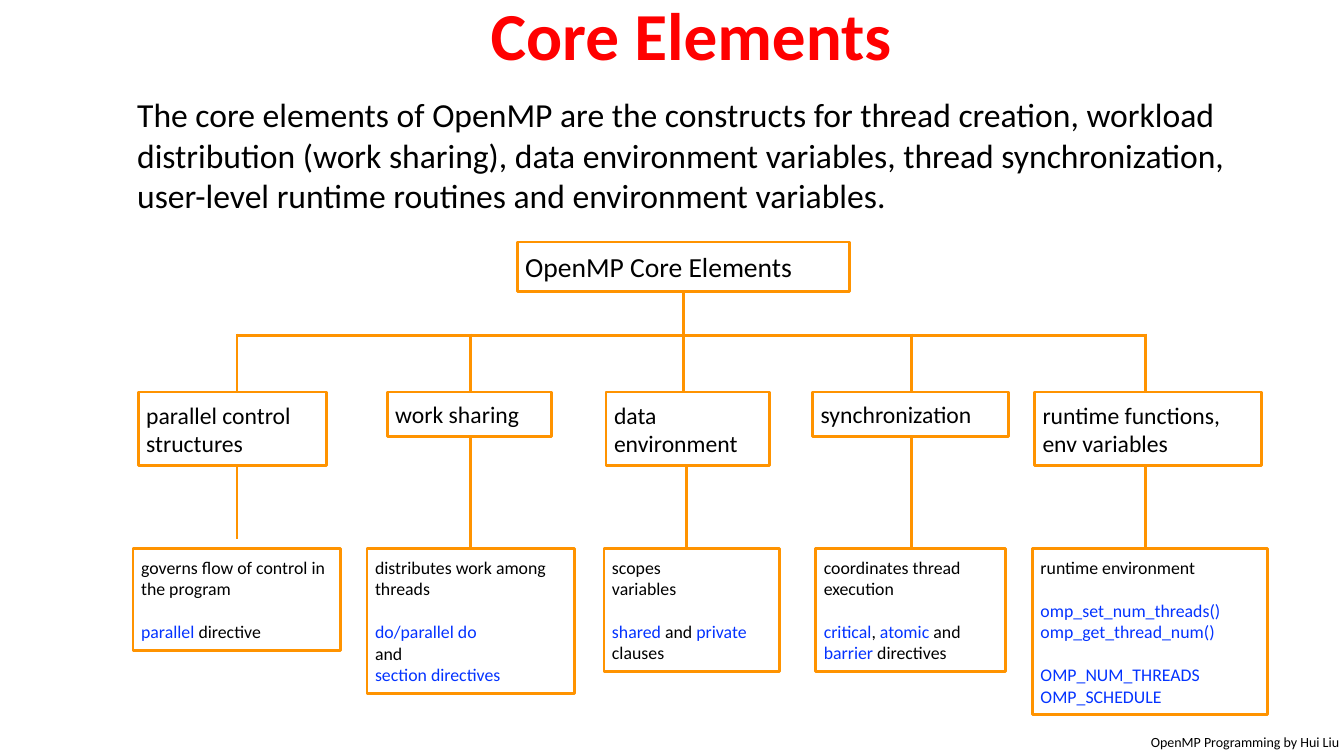
from lxml import etree
from pptx import Presentation
from pptx.dml.color import RGBColor
from pptx.enum.shapes import MSO_CONNECTOR, MSO_SHAPE
from pptx.enum.text import MSO_ANCHOR, PP_ALIGN
from pptx.oxml.ns import qn
from pptx.util import Inches, Pt

RECTANGLE, STRAIGHT = MSO_SHAPE.RECTANGLE, MSO_CONNECTOR.STRAIGHT
TOP, MIDDLE = MSO_ANCHOR.TOP, MSO_ANCHOR.MIDDLE
LEFT, CENTER, RIGHT = PP_ALIGN.LEFT, PP_ALIGN.CENTER, PP_ALIGN.RIGHT
RED, BLACK = RGBColor(0xFF, 0, 0), RGBColor(0, 0, 0)
ORANGE, BLUE = RGBColor(0xFF, 0x93, 0), RGBColor(0x04, 0x33, 0xFF)
FONT = "Calibri"
SLIDE_WIDTH, SLIDE_HEIGHT = 13.33, 7.5

TITLE = "Core Elements"
INTRO = ("The core elements of OpenMP are the constructs for thread creation, "
         "workload distribution (work sharing), data environment variables, thread "
         "synchronization, user-level runtime routines and environment variables.")
ROOT = "OpenMP Core Elements"
FOOTER = "OpenMP Programming by Hui Liu"

# Boxes are (left, width); details are groups of paragraphs, *starred* parts in blue.
BRANCHES = [
    {"center": 2.35, "head": ["parallel control", "structures"],
     "head_box": (1.37, 1.87), "detail_box": (1.32, 2.06),
     "detail": [["governs flow of control in the program"],
                ["*parallel* directive"]]},
    {"center": 4.67, "head": ["work sharing"],
     "head_box": (3.84, 1.63), "detail_box": (3.64, 2.06),
     "detail": [["distributes work among threads"],
                ["*do/parallel do*", "and", "*section directives*"]]},
    {"center": 6.81, "head": ["data", "environment"],
     "head_box": (6.01, 1.62), "detail_box": (5.99, 1.74),
     "detail": [["scopes", "variables"],
                ["*shared* and *private* clauses"]]},
    {"center": 9.04, "head": ["synchronization"],
     "head_box": (8.06, 1.94), "detail_box": (8.09, 1.88),
     "detail": [["coordinates thread execution"],
                ["*critical*, *atomic* and *barrier* directives"]]},
    {"center": 11.36, "head": ["runtime functions,", "env variables"],
     "head_box": (10.26, 2.25), "detail_box": (10.24, 2.33),
     "detail": [["runtime environment"],
                ["*omp_set_num_threads()*", "*omp_get_thread_num()*"],
                ["*OMP_NUM_THREADS*", "*OMP_SCHEDULE*"]]},
]
DETAIL_HEIGHTS = [1.01, 1.44, 1.22, 1.22, 1.65]

ROOT_BOX = (5.13, 2.4, 3.3, 0.49)
TRUNK, BUS_TOP, HEAD_TOP, DETAIL_TOP = 6.78, 3.33, 3.89, 5.44
HEAD_HEIGHTS = {1: 0.44, 2: 0.73}
HEAD_SIZE, DETAIL_SIZE, LINE_FACTOR = 16.9, 12.7, 1.22


def write_text(shape, groups, size, color=BLACK, bold=False, align=LEFT,
               anchor=MIDDLE, inset=0.08, spacing=None):
    """Fill a shape with groups of paragraphs, one line of space between groups."""
    frame = shape.text_frame
    frame.word_wrap = True
    frame.vertical_anchor = anchor
    frame.margin_left = frame.margin_right = Inches(inset)
    frame.margin_top = frame.margin_bottom = Inches(min(inset, 0.08))
    paragraph = None
    for group_index, group in enumerate(groups):
        for line_index, line in enumerate(group):
            paragraph = frame.add_paragraph() if paragraph else frame.paragraphs[0]
            paragraph.alignment = align
            if spacing:
                paragraph.line_spacing = spacing
            if group_index and not line_index:
                paragraph.space_before = Pt(size * LINE_FACTOR)
            for part_index, part in enumerate(line.split("*")):
                if part:
                    run = paragraph.add_run()
                    run.text = part
                    font = run.font
                    font.name, font.size, font.bold = FONT, Pt(size), bold
                    font.color.rgb = BLUE if part_index % 2 else color


def add_text(slide, box, text, size, **text_format):
    """Add a plain text box."""
    shape = slide.shapes.add_textbox(*map(Inches, box))
    write_text(shape, [[text]], size, **text_format)


def add_box(slide, box, groups, size):
    """Add an outlined box with text."""
    shape = slide.shapes.add_shape(RECTANGLE, *map(Inches, box))
    shape.shadow.inherit = False
    shape.fill.background()
    shape.line.color.rgb = ORANGE
    shape.line.width = Pt(2)
    write_text(shape, groups, size)


def add_line(slide, *ends):
    """Add a straight orange line from (x, y) to (x, y)."""
    line = slide.shapes.add_connector(STRAIGHT, *map(Inches, ends))
    line.line.color.rgb = ORANGE
    line.line.width = Pt(2)
    etree.SubElement(line._element.spPr, qn("a:effectLst"))


def add_branch(slide, branch, detail_height):
    """Add one branch: its head, its detail box and the lines joining them."""
    center = branch["center"]
    head_left, head_width = branch["head_box"]
    detail_left, detail_width = branch["detail_box"]
    head_height = HEAD_HEIGHTS[len(branch["head"])]
    add_box(slide, (head_left, HEAD_TOP, head_width, head_height),
            [branch["head"]], HEAD_SIZE)
    add_box(slide, (detail_left, DETAIL_TOP, detail_width, detail_height),
            branch["detail"], DETAIL_SIZE)
    if branch is BRANCHES[2]:
        add_line(slide, TRUNK, ROOT_BOX[1] + ROOT_BOX[3], TRUNK, HEAD_TOP)
    else:
        add_line(slide, center, BUS_TOP - 0.02, center, HEAD_TOP)
    end = DETAIL_TOP - 0.09 if branch is BRANCHES[0] else DETAIL_TOP
    add_line(slide, center, HEAD_TOP + head_height, center, end)


presentation = Presentation()
presentation.slide_width = Inches(SLIDE_WIDTH)
presentation.slide_height = Inches(SLIDE_HEIGHT)
slide = presentation.slides.add_slide(presentation.slide_layouts[5])

title = slide.shapes.title
title.left, title.top, title.width, title.height = map(
    Inches, (2.13, -0.03, 9.45, 0.99))
write_text(title, [[TITLE]], 48, color=RED, bold=True, align=CENTER,
           anchor=TOP, inset=0.05, spacing=0.9)

add_text(slide, (1.32, 0.89, 11.25, 1.29), INTRO, 24, inset=0.04)
add_box(slide, ROOT_BOX, [[ROOT]], 19.7)
for branch, detail_height in zip(BRANCHES, DETAIL_HEIGHTS):
    add_branch(slide, branch, detail_height)
add_line(slide, BRANCHES[0]["center"], BUS_TOP, BRANCHES[-1]["center"], BUS_TOP)
add_text(slide, (11.24, 7.23, 2.09, 0.27), FOOTER, 10, align=RIGHT,
         anchor=TOP, inset=0.05)

presentation.save("out.pptx")
